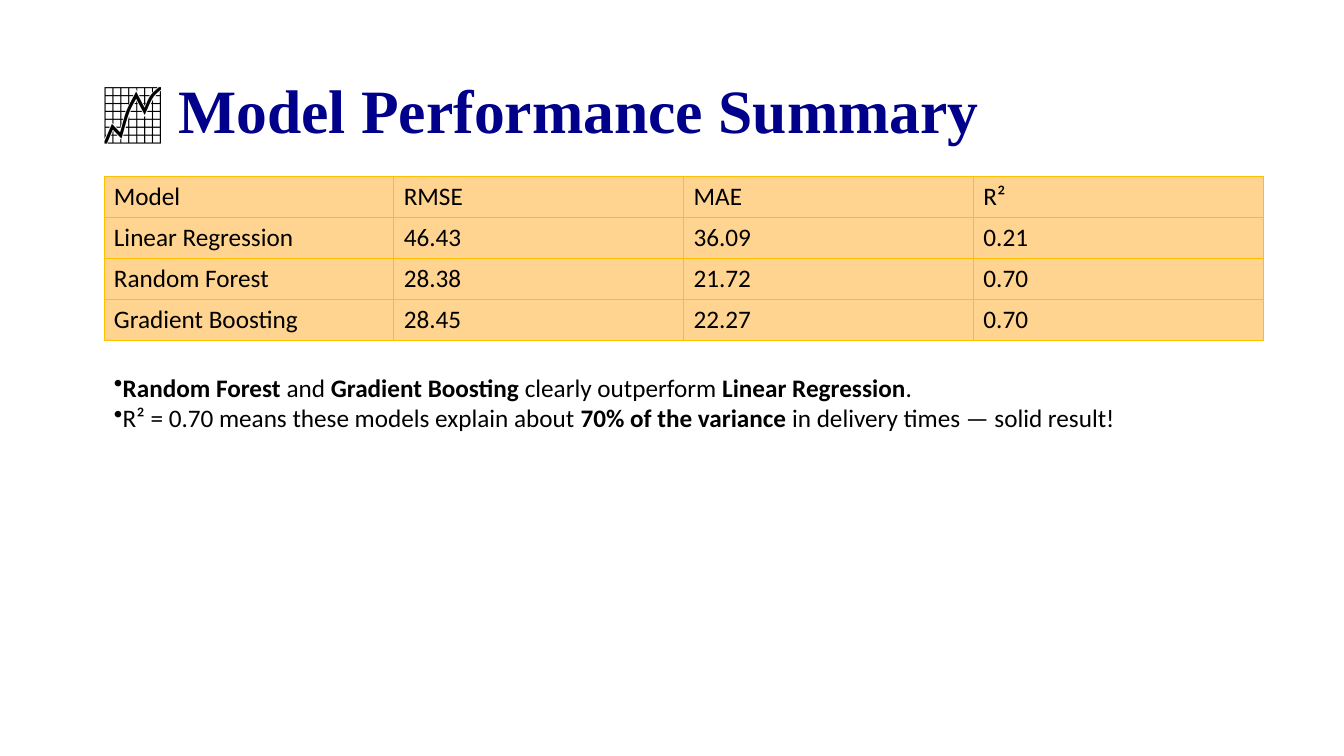
"""Build the model performance summary slide."""
from dataclasses import dataclass

from lxml.etree import SubElement
from pptx import Presentation
from pptx.dml.color import RGBColor
from pptx.enum.text import MSO_ANCHOR, MSO_AUTO_SIZE, PP_ALIGN
from pptx.oxml.ns import qn
from pptx.slide import Slide
from pptx.table import _Cell
from pptx.text.text import Font, _Paragraph
from pptx.util import Emu, Pt

EMU_PER_PX = 9144
BLACK = "000000"
NAVY = "00008B"
CELL_FILL = "FFD390"
CELL_BORDER = "FFC000"


@dataclass(frozen=True)
class Box:
    left: int
    top: int
    width: int
    height: int

    def emu(self) -> tuple[Emu, Emu, Emu, Emu]:
        return px(self.left), px(self.top), px(self.width), px(self.height)


@dataclass(frozen=True)
class Phrase:
    text: str
    bold: bool = False


@dataclass(frozen=True)
class ModelScore:
    model: str
    rmse: str
    mae: str
    r_squared: str

    def values(self) -> tuple[str, ...]:
        return self.model, self.rmse, self.mae, self.r_squared


TITLE_BOX = Box(92, 40, 1150, 145)
TABLE_BOX = Box(103, 175, 1150, 162)
FINDINGS_BOX = Box(103, 364, 1079, 71)

SCORES = [
    ModelScore("Model", "RMSE", "MAE", "R²"),
    ModelScore("Linear Regression", "46.43", "36.09", "0.21"),
    ModelScore("Random Forest", "28.38", "21.72", "0.70"),
    ModelScore("Gradient Boosting", "28.45", "22.27", "0.70"),
]
FINDINGS = [
    [
        Phrase("Random Forest", True),
        Phrase(" and "),
        Phrase("Gradient Boosting", True),
        Phrase(" clearly outperform "),
        Phrase("Linear Regression", True),
        Phrase("."),
    ],
    [
        Phrase("R² = 0.70 means these models explain about "),
        Phrase("70% of the variance", True),
        Phrase(" in delivery times — solid result!"),
    ],
]


def px(length: int) -> Emu:
    return Emu(length * EMU_PER_PX)


def color(value: str) -> RGBColor:
    return RGBColor.from_string(value)


def style_font(font: Font, size: int, name: str = "Calibri", value: str = BLACK) -> None:
    font.name = name
    font.size = Pt(size)
    font.color.rgb = color(value)


def add_title(slide: Slide) -> None:
    title = slide.shapes.title
    title.left, title.top, title.width, title.height = TITLE_BOX.emu()
    frame = title.text_frame
    frame.word_wrap = True
    frame.vertical_anchor = MSO_ANCHOR.MIDDLE
    paragraph = frame.paragraphs[0]
    paragraph.alignment = PP_ALIGN.LEFT
    paragraph.line_spacing = 0.9
    icon = paragraph.add_run()
    icon.text = "📈 "
    style_font(icon.font, 44)
    heading = paragraph.add_run()
    heading.text = "Model Performance Summary"
    heading.font.bold = True
    style_font(heading.font, 44, "Times New Roman", NAVY)


def set_borders(cell: _Cell) -> None:
    properties = cell._tc.get_or_add_tcPr()
    for position, side in enumerate(("lnL", "lnR", "lnT", "lnB")):
        line = SubElement(properties, qn(f"a:{side}"), w=str(Pt(0.5)))
        fill = SubElement(line, qn("a:solidFill"))
        SubElement(fill, qn("a:srgbClr"), val=CELL_BORDER)
        properties.insert(position, line)


def add_score_table(slide: Slide) -> None:
    columns = len(SCORES[0].values())
    table = slide.shapes.add_table(len(SCORES), columns, *TABLE_BOX.emu()).table
    table.first_row = False
    table.horz_banding = False
    for row, score in enumerate(SCORES):
        for column, value in enumerate(score.values()):
            cell = table.cell(row, column)
            cell.text = value
            cell.vertical_anchor = MSO_ANCHOR.MIDDLE
            cell.fill.solid()
            cell.fill.fore_color.rgb = color(CELL_FILL)
            style_font(cell.text_frame.paragraphs[0].font, 18)
            set_borders(cell)


def add_bullet(paragraph: _Paragraph) -> None:
    properties = paragraph._p.get_or_add_pPr()
    properties.set("marL", "0")
    properties.set("indent", "0")
    bullet = SubElement(properties, qn("a:buChar"), char="•")
    properties.insert(0, bullet)


def add_findings(slide: Slide) -> None:
    frame = slide.shapes.add_textbox(*FINDINGS_BOX.emu()).text_frame
    frame.word_wrap = True
    frame.auto_size = MSO_AUTO_SIZE.SHAPE_TO_FIT_TEXT
    for index, phrases in enumerate(FINDINGS):
        paragraph = frame.add_paragraph() if index else frame.paragraphs[0]
        style_font(paragraph.font, 18)
        add_bullet(paragraph)
        for phrase in phrases:
            run = paragraph.add_run()
            run.text = phrase.text
            run.font.bold = phrase.bold


def main() -> None:
    presentation = Presentation()
    presentation.slide_width = px(1333)
    presentation.slide_height = px(750)
    slide = presentation.slides.add_slide(presentation.slide_layouts[5])
    add_title(slide)
    add_score_table(slide)
    add_findings(slide)
    presentation.save("out.pptx")


if __name__ == "__main__":
    main()
